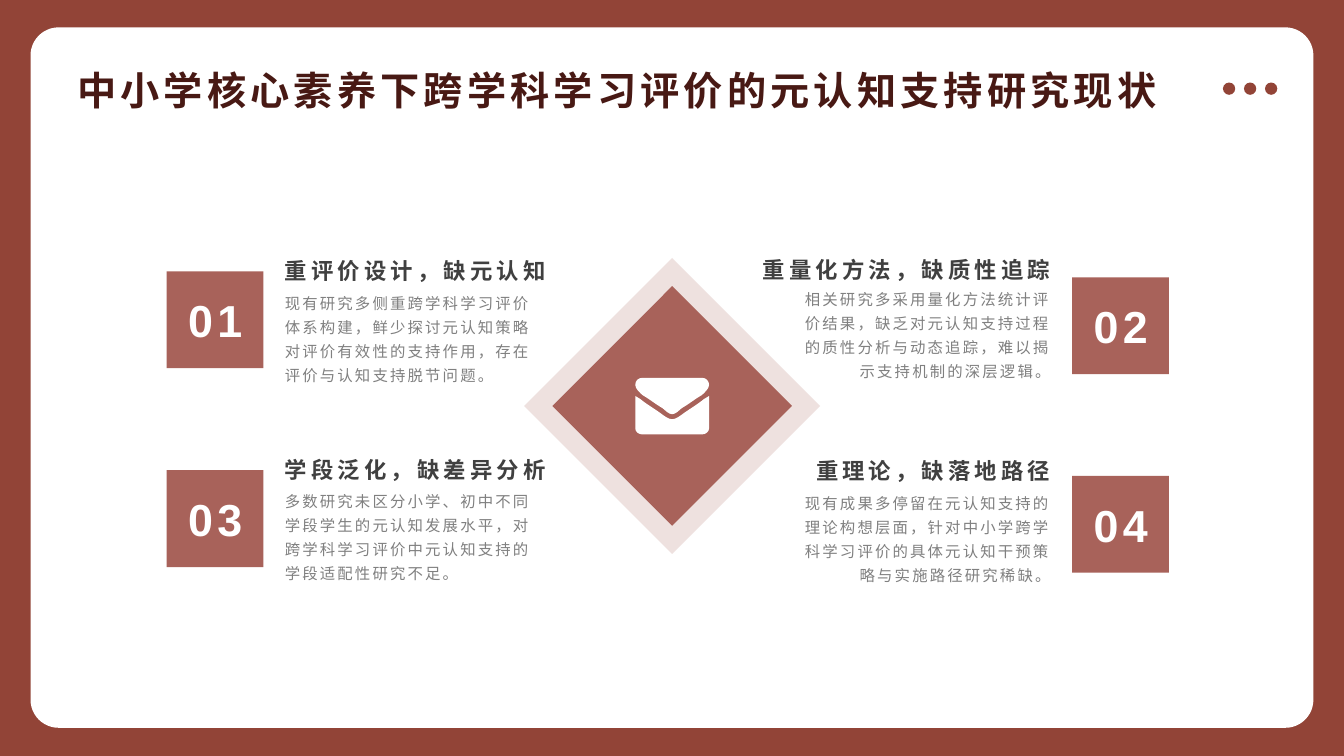
"""Builds a slide on the state of research into metacognitive support."""
from lxml import etree
from pptx import Presentation
from pptx.dml.color import RGBColor
from pptx.enum import shapes, text
from pptx.oxml.ns import qn
from pptx.util import Cm, Pt

CJK = "Noto Sans CJK SC"
BRICK, ROSE, WHITE = "924437", "A8625A", "FFFFFF"
SHAPE, ALIGN = shapes.MSO_SHAPE, text.PP_ALIGN
BADGE = 2.44

FINDINGS = [
    ("01", "重评价设计，缺元认知",
     "现有研究多侧重跨学科学习评价体系构建，鲜少探讨元认知策略对评价有效性的支持作用，存在评价与认知支持脱节问题。",
     (4.2, 6.84), (6.93, 6.05, 7.47), (6.93, 7.47, 6.91), ALIGN.LEFT),
    ("02", "重量化方法，缺质性追踪",
     "相关研究多采用量化方法统计评价结果，缺乏对元认知支持过程的质性分析与动态追踪，难以揭示支持机制的深层逻辑。",
     (27.02, 6.99), (18.65, 6.02, 8.08), (19.82, 7.37, 6.91), ALIGN.RIGHT),
    ("03", "学段泛化，缺差异分析",
     "多数研究未区分小学、初中不同学段学生的元认知发展水平，对跨学科学习评价中元认知支持的学段适配性研究不足。",
     (4.2, 11.85), (6.93, 11.05, 7.47), (6.93, 12.45, 6.91), ALIGN.LEFT),
    ("04", "重理论，缺落地路径",
     "现有成果多停留在元认知支持的理论构想层面，针对中小学跨学科学习评价的具体元认知干预策略与实施路径研究稀缺。",
     (27.02, 11.99), (19.26, 11.1, 7.47), (19.82, 12.5, 6.91), ALIGN.RIGHT),
]

FLAP = [(7, 0), (3, 0), (0, 3), (0, 7), (0, 11), (5, 15), (7, 17),
        (14, 21), (20, 26), (27, 30), (29.5, 32), (33, 36), (36.5, 36)]
POCKET = [(7, 56), (3, 56), (0, 53), (0, 50), (0, 40), (0, 28), (0, 18), (2, 19),
          (3, 20), (5, 21), (11, 26), (18, 30), (25, 35), (29, 38), (33, 41), (36.5, 41)]


def paint(fill, color):
    """Set a solid fill from a hex string."""
    fill.solid()
    fill.fore_color.rgb = RGBColor.from_string(color)


def finish(sp, color):
    """Give a shape a flat fill without line or shadow."""
    sp.shadow.inherit = False
    sp.line.fill.background()
    paint(sp.fill, color)


def add_block(s, kind, x, y, w, h, color):
    """Add a plain filled shape, given in centimetres."""
    sp = s.shapes.add_shape(kind, Cm(x), Cm(y), Cm(w), Cm(h))
    finish(sp, color)
    return sp


def write(tf, words, size, color, spacing, align=ALIGN.LEFT, bold=True, font=CJK, leading=1):
    """Fill a text frame with one letter-spaced paragraph."""
    tf.word_wrap = True
    tf.auto_size = text.MSO_AUTO_SIZE.NONE
    tf.vertical_anchor = text.MSO_ANCHOR.MIDDLE
    p = tf.paragraphs[0]
    p.text = words
    p.alignment = align
    p.line_spacing = leading
    p.font.size = Pt(size)
    p.font.bold = bold
    p.font.name = font
    paint(p.font.fill, color)
    props = p._p.pPr.find(qn("a:defRPr"))
    props.set("spc", str(int(spacing * 100)))
    east = etree.Element(qn("a:ea"), typeface=font)
    props.find(qn("a:latin")).addnext(east)


def add_label(s, x, y, w, h, *args, **style):
    """Add a text box, given in centimetres."""
    box = s.shapes.add_textbox(Cm(x), Cm(y), Cm(w), Cm(h))
    write(box.text_frame, *args, **style)


def add_frame(s, x, y, w, h):
    """Place the white panel, its three dots and the title."""
    panel = add_block(s, SHAPE.ROUNDED_RECTANGLE, x, y, w, h, WHITE)
    panel.adjustments[0] = 0.04
    for i in range(3):
        add_block(s, SHAPE.OVAL, x + 30.05 + 0.53 * i, y + 1.39, 0.31, 0.31, BRICK)
    title = s.shapes.title
    title.element.getparent().append(title.element)
    title.left, title.top, title.width, title.height = Cm(x + 0.92), Cm(y + 0.59), Cm(30.48), Cm(1.96)
    write(title.text_frame, "中小学核心素养下跨学科学习评价的元认知支持研究现状", 28, "481914", 3)


def add_envelope(s, x, y, w):
    """Draw the envelope icon with its left top corner at x, y."""
    unit = w / 73
    flap, pocket = ([(Cm(x + px * unit), Cm(y + py * unit)) for px, py in
                     half + [(73 - px, py) for px, py in reversed(half[:-1])]]
                    for half in (FLAP, POCKET))
    outline = s.shapes.build_freeform(*flap[0])
    outline.add_line_segments(flap[1:], close=True)
    outline.move_to(*pocket[0])
    outline.add_line_segments(pocket[1:], close=True)
    sp = outline.convert_to_shape()
    finish(sp, WHITE)
    lines = list(sp.element.iter(qn("a:lnTo")))
    for i in range(0, len(lines), 3):
        curve = etree.Element(qn("a:cubicBezTo"))
        lines[i].addprevious(curve)
        for line in lines[i:i + 3]:
            curve.append(line[0])
            line.getparent().remove(line)


def add_emblem(s, x, y, size):
    """Place the two nested diamonds and the envelope."""
    halo = add_block(s, SHAPE.DIAMOND, x, y, size, size, ROSE)
    color = halo.element.spPr.find(qn("a:solidFill"))[0]
    etree.SubElement(color, qn("a:alpha"), val="19000")
    inset = 0.71
    add_block(s, SHAPE.DIAMOND, x + inset, y + inset, size - 2 * inset, size - 2 * inset, ROSE)
    add_envelope(s, x + 2.8, y + 3.02, 1.86)


def add_finding(s, number, heading, body, badge, head_box, body_box, align):
    """Place one numbered badge with its heading and body."""
    x, y = badge
    add_block(s, SHAPE.RECTANGLE, x, y, BADGE, BADGE, ROSE)
    add_label(s, x + 0.16, y + 0.31, 2.13, 1.83, number, 32, WHITE, 3,
              align=ALIGN.CENTER, font="Arial")
    x, y, w = body_box
    add_label(s, x, y, w, 2.03, body, 11, "808080", 1.5, align=align, bold=False, leading=1.3)
    x, y, w = head_box
    add_label(s, x, y, w, 1.27, heading, 16, "404040", 3, align=align, leading=1.4)


def main():
    """Build and save the slide."""
    prs = Presentation()
    prs.slide_width, prs.slide_height = Cm(33.87), Cm(19.05)
    s = prs.slides.add_slide(prs.slide_layouts[5])
    paint(s.background.fill, BRICK)
    add_frame(s, 0.77, 0.69, 32.33, 17.65)
    add_emblem(s, 13.21, 6.5, 7.46)
    for finding in FINDINGS:
        add_finding(s, *finding)
    prs.save("out.pptx")


if __name__ == "__main__":
    main()
